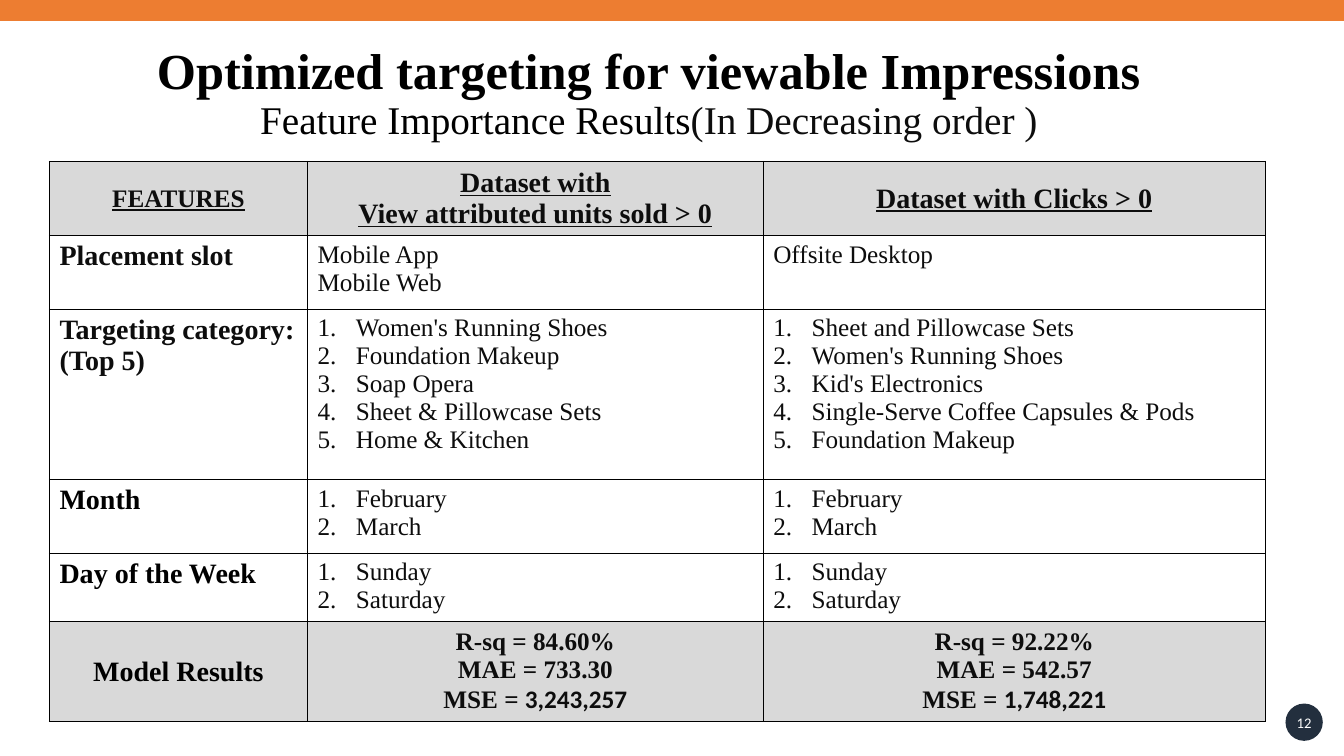
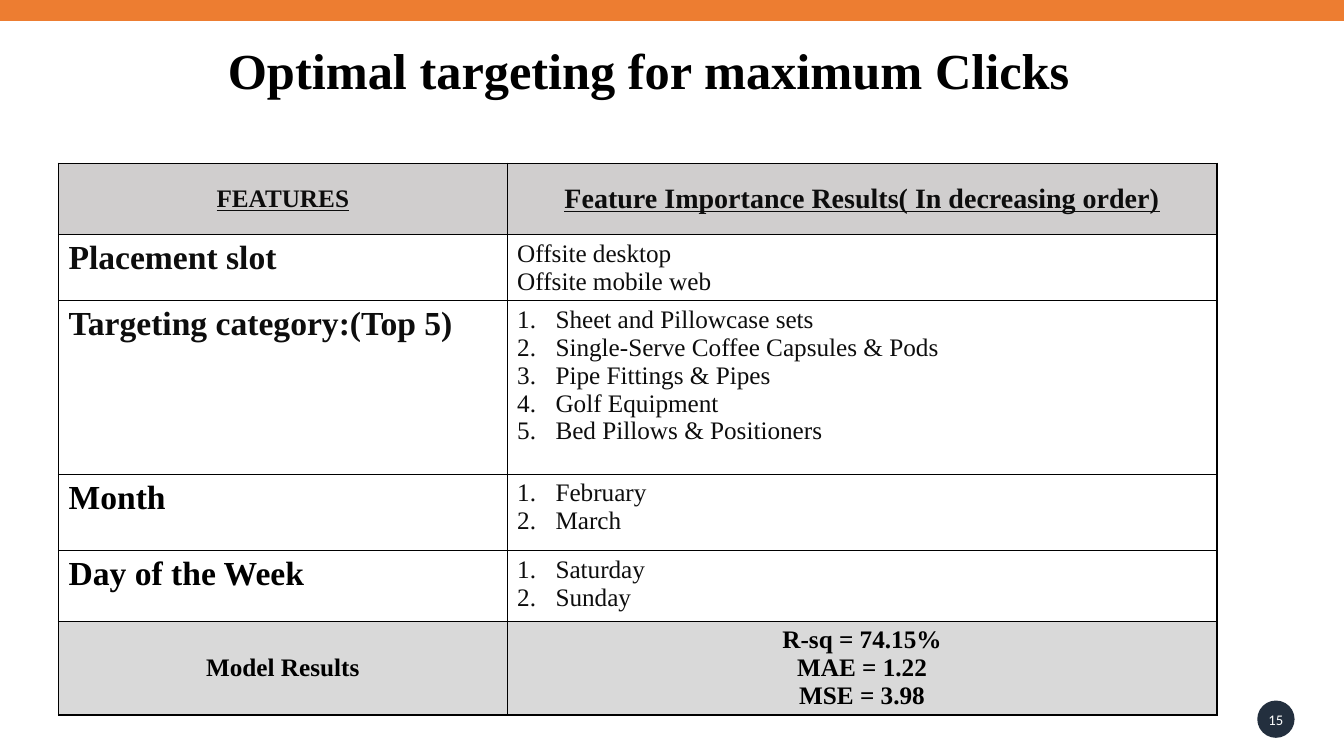
from dataclasses import dataclass

from lxml import etree
from pptx import Presentation
from pptx.dml.color import RGBColor
from pptx.enum.shapes import MSO_CONNECTOR, MSO_SHAPE
from pptx.enum.text import MSO_ANCHOR, MSO_AUTO_SIZE, PP_ALIGN
from pptx.oxml.ns import qn
from pptx.util import Inches, Pt

CENTER, LEFT = PP_ALIGN.CENTER, PP_ALIGN.LEFT
TOP, MIDDLE = MSO_ANCHOR.TOP, MSO_ANCHOR.MIDDLE


@dataclass(frozen=True)
class Theme:
    serif: str = "Times New Roman"
    sans: str = "Calibri"
    black: str = "000000"
    ink: str = "0D0D0D"
    white: str = "FFFFFF"
    band: str = "ED7D31"
    badge: str = "232F3E"
    grey: str = "D9D9D9"
    title: int = 36
    subtitle: int = 28
    heading: int = 20
    body: int = 18
    number: float = 10.5


T = Theme()

# Cell lines are parted by \n; what follows | is set in the sans font.
SLIDES = [
    dict(
        title="Optimized targeting for viewable Impressions",
        subtitle=["Feature Importance Results", "(In Decreasing order )"],
        number="12", badge=(12.75, 6.98),
        origin=(0.49, 1.6), cols=[2.56, 4.52, 4.98],
        rows=[0.74, 0.73, 1.69, 0.73, 0.68, 0.99],
        border=0.75, head_fill=T.grey, label_size=20, model_size=20, result_color=T.ink,
        cells=[
            ["FEATURES", "Dataset with\nView attributed units sold > 0",
             "Dataset with Clicks > 0"],
            ["Placement slot", "Mobile App\nMobile Web", "Offsite Desktop"],
            ["Targeting category:(Top 5)",
             "Women's Running Shoes\nFoundation Makeup\nSoap Opera\n"
             "Sheet & Pillowcase Sets\nHome & Kitchen",
             "Sheet and Pillowcase Sets\nWomen's Running Shoes\nKid's Electronics\n"
             "Single-Serve Coffee Capsules & Pods\nFoundation Makeup"],
            ["Month", "February\nMarch", "February\nMarch"],
            ["Day of the Week", "Sunday\nSaturday", "Sunday\nSaturday"],
            ["Model Results",
             "R-sq = 84.60%\nMAE = 733.30\nMSE = |3,243,257",
             "R-sq = 92.22%\nMAE = 542.57\nMSE = |1,748,221"],
        ],
    ),
    dict(
        title="Optimal targeting for maximum Clicks",
        subtitle=[],
        number="15", badge=(12.47, 6.95),
        origin=(0.58, 1.62), cols=[4.45, 7.04],
        rows=[0.71, 0.65, 1.72, 0.76, 0.7, 0.93],
        border=1, head_fill="D0CECE", label_size=24, model_size=18, result_color=T.black,
        cells=[
            ["FEATURES", "Feature Importance Results( In decreasing order)"],
            ["Placement slot", "Offsite desktop\nOffsite mobile web"],
            ["Targeting category:(Top 5)",
             "Sheet and Pillowcase sets\nSingle-Serve Coffee Capsules & Pods\n"
             "Pipe Fittings & Pipes\nGolf Equipment\nBed Pillows & Positioners"],
            ["Month", "February\nMarch"],
            ["Day of the Week", "Saturday\nSunday"],
            ["Model Results", "R-sq = 74.15%\nMAE = 1.22\nMSE = 3.98"],
        ],
    ),
]


def add_run(p, text, size, color, font=T.serif, bold=False, underline=False):
    r = p.add_run()
    r.text = text
    f = r.font
    f.name, f.size, f.bold, f.underline = font, Pt(size), bold, underline
    f.color.rgb = RGBColor.from_string(color)


def add_borders(cell, width):
    tc_pr = cell._tc.get_or_add_tcPr()
    for side in ("lnL", "lnR", "lnT", "lnB"):
        ln = etree.SubElement(tc_pr, qn(f"a:{side}"), w=str(Pt(width)))
        fill = etree.SubElement(ln, qn("a:solidFill"))
        etree.SubElement(fill, qn("a:srgbClr"), val=T.black)


prs = Presentation()
prs.slide_width, prs.slide_height = Inches(13.33), Inches(7.5)
title_only = prs.slide_layouts[5]

for d in SLIDES:
    s = prs.slides.add_slide(title_only)

    # Title
    title = s.shapes.title
    title.left, title.top, title.width, title.height = map(Inches, (0.69, 0.21, 11.49, 1.19))
    tf = title.text_frame
    tf.auto_size, tf.word_wrap, tf.vertical_anchor = MSO_AUTO_SIZE.NONE, True, TOP
    tf.margin_left = tf.margin_right = 0
    tf.margin_top, tf.margin_bottom = Inches(0.25), Inches(0.05)
    add_run(tf.paragraphs[0], d["title"], T.title, T.black, bold=True)
    if d["subtitle"]:
        p = tf.add_paragraph()
        for text, color in zip(d["subtitle"], (T.black, T.ink)):
            add_run(p, text, T.subtitle, color)
    for p in tf.paragraphs:
        p.alignment, p.line_spacing, p.space_before = CENTER, 0.9, Pt(0)

    # Feature table
    cols, rows = d["cols"], d["rows"]
    x, y = d["origin"]
    frame = s.shapes.add_table(len(rows), len(cols), Inches(x), Inches(y),
                               Inches(sum(cols)), Inches(sum(rows)))
    tbl = frame.table
    tbl.first_row = tbl.horz_banding = False
    for col, width in zip(tbl.columns, cols):
        col.width = Inches(width)
    for row, height in zip(tbl.rows, rows):
        row.height = Inches(height)

    last = len(rows) - 1
    for i, row in enumerate(d["cells"]):
        for j, text in enumerate(row):
            head, model, label = i == 0, i == last, j == 0
            size, color = T.body, T.ink
            if head:
                size = T.body if label else T.heading
            elif label:
                size = d["model_size"] if model else d["label_size"]
                color = T.ink if i < 3 else T.black
            elif model:
                color = d["result_color"]

            cell = tbl.cell(i, j)
            add_borders(cell, d["border"])
            if head or model:
                cell.fill.solid()
                cell.fill.fore_color.rgb = RGBColor.from_string(d["head_fill"] if head else T.grey)
            else:
                cell.fill.background()
            cell.vertical_anchor = MIDDLE if head or model else TOP

            tf = cell.text_frame
            for n, line in enumerate(text.split("\n")):
                p = tf.add_paragraph() if n else tf.paragraphs[0]
                p.alignment = CENTER if head or model else LEFT
                if 2 <= i < last and not label:
                    p_pr = p._p.get_or_add_pPr()
                    p_pr.set("marL", str(Inches(0.38)))
                    p_pr.set("indent", str(-Inches(0.38)))
                    etree.SubElement(p_pr, qn("a:buFont"), typeface=T.serif)
                    etree.SubElement(p_pr, qn("a:buAutoNum"), type="arabicPeriod")
                for part, font in zip(line.split("|"), (T.serif, T.sans)):
                    add_run(p, part, size, color, font,
                            bold=head or model or label, underline=head)

    # Slide number badge
    x, y = d["badge"]
    badge = s.shapes.add_shape(MSO_SHAPE.OVAL, Inches(x), Inches(y), Inches(0.37), Inches(0.37))
    badge.shadow.inherit = False
    badge.fill.solid()
    badge.fill.fore_color.rgb = RGBColor.from_string(T.badge)
    badge.line.fill.background()
    tf = badge.text_frame
    tf.margin_left = tf.margin_right = tf.margin_top = tf.margin_bottom = 0
    tf.word_wrap, tf.vertical_anchor = False, MIDDLE
    p = tf.paragraphs[0]
    p.alignment = CENTER
    add_run(p, d["number"], T.number, T.white, T.sans)

    # Top band
    band = s.shapes.add_connector(MSO_CONNECTOR.STRAIGHT, 0, Inches(0.1),
                                  prs.slide_width, Inches(0.1))
    band.line.width = Pt(15)
    band.line.color.rgb = RGBColor.from_string(T.band)
    etree.SubElement(band._element.spPr, qn("a:effectLst"))

prs.save("out.pptx")
